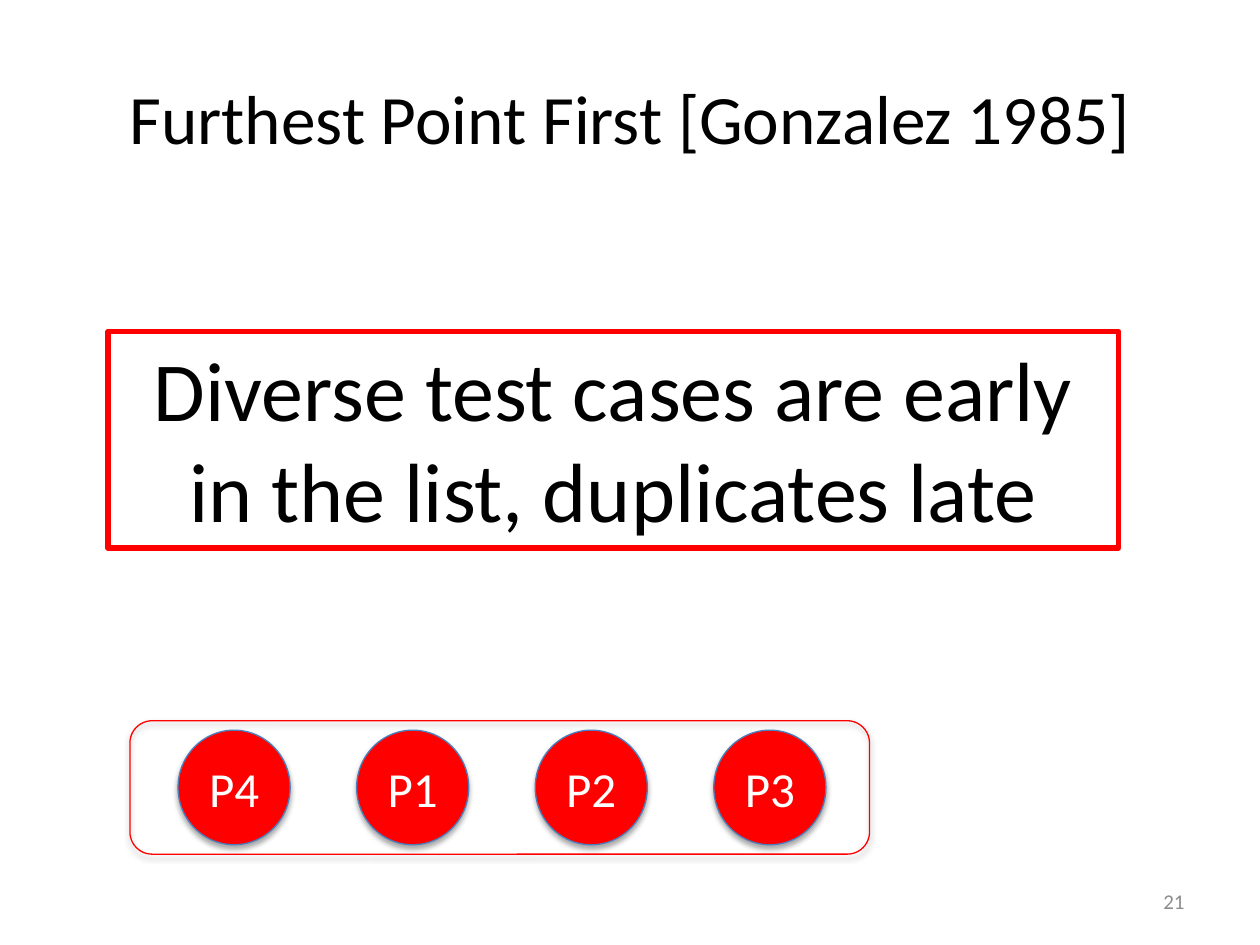
from dataclasses import dataclass

import pptx
import pptx.dml.color
import pptx.enum.shapes
import pptx.enum.text
import pptx.oxml
import pptx.util
from pptx.util import Cm

SHAPES = pptx.enum.shapes.MSO_SHAPE
ALIGN = pptx.enum.text.PP_ALIGN
ANCHOR = pptx.enum.text.MSO_ANCHOR

SHADOW_XML = (
    '<a:effectLst xmlns:a="http://schemas.openxmlformats.org/drawingml/2006/main">'
    '<a:outerShdw blurRad="40000" dist="23000" dir="5400000" rotWithShape="0">'
    '<a:srgbClr val="000000"><a:alpha val="35000"/></a:srgbClr>'
    '</a:outerShdw></a:effectLst>'
)


@dataclass(frozen=True)
class Theme:
    font: str = "Calibri"
    ink: str = "000000"
    accent: str = "FF0000"
    rim: str = "4B7EBC"
    light: str = "FFFFFF"
    muted: str = "8C8C8C"
    title: float = 39.6
    message: float = 48
    point: float = 28
    number: float = 12
    thin: float = 0.75
    thick: float = 3


THEME = Theme()


def rgb(value):
    return pptx.dml.color.RGBColor.from_string(value)


def apply(target, formats):
    for name, value in formats.items():
        setattr(target, name, value)


def write(holder, text, size, color, align=ALIGN.CENTER, anchor=ANCHOR.MIDDLE, wrap=True):
    frame = holder.text_frame
    apply(frame, {"text": text, "word_wrap": wrap, "vertical_anchor": anchor})
    paragraph = frame.paragraphs[0]
    paragraph.alignment = align
    apply(paragraph.font, {"name": THEME.font, "size": pptx.util.Pt(size)})
    paragraph.font.color.rgb = rgb(color)


def outline(holder, color, width):
    holder.line.color.rgb = rgb(color)
    holder.line.width = pptx.util.Pt(width)


def add_shadowed(slide, kind, box, line_color):
    shape = slide.shapes.add_shape(kind, *map(Cm, box))
    shape.shadow.inherit = False
    outline(shape, line_color, THEME.thin)
    effects = shape.element.spPr.find(pptx.oxml.ns.qn("a:effectLst"))
    effects.getparent().replace(effects, pptx.oxml.parse_xml(SHADOW_XML))
    return shape


def add_title(slide, box):
    title = slide.shapes.add_textbox(*map(Cm, box))
    write(title, "Furthest Point First [Gonzalez 1985]", THEME.title, THEME.ink)


def add_message(slide, box):
    message = slide.shapes.add_textbox(*map(Cm, box))
    outline(message, THEME.accent, THEME.thick)
    write(message, "Diverse test cases are early in the list, duplicates late",
          THEME.message, THEME.ink, anchor=ANCHOR.TOP)


def add_ranked_points(slide, box, points):
    left, top, width, height = box
    ranking = add_shadowed(slide, SHAPES.ROUNDED_RECTANGLE, box, THEME.accent)
    ranking.fill.background()
    pitch, point_width, point_height = 3.6, 2.26, 2.31
    first = left + 0.97
    point_top = top + (height - point_height) / 2
    for rank, label in enumerate(points):
        point_box = (first + rank * pitch, point_top, point_width, point_height)
        point = add_shadowed(slide, SHAPES.OVAL, point_box, THEME.rim)
        point.fill.solid()
        point.fill.fore_color.rgb = rgb(THEME.accent)
        write(point, label, THEME.point, THEME.light, wrap=False)


def add_slide_number(slide, box):
    number = slide.shapes.add_textbox(*map(Cm, box))
    write(number, "21", THEME.number, THEME.muted, align=ALIGN.RIGHT)


def main():
    deck = pptx.Presentation()
    apply(deck, {"slide_width": Cm(25.4), "slide_height": Cm(19.05)})
    slide = deck.slides.add_slide(deck.slide_layouts[6])
    add_title(slide, (1.27, 0.76, 22.86, 3.18))
    add_slide_number(slide, (18.21, 17.65, 5.92, 1.02))
    add_ranked_points(slide, (2.62, 14.53, 14.91, 2.69), ("P4", "P1", "P2", "P3"))
    add_message(slide, (2.18, 6.68, 20.37, 4.37))
    deck.save("out.pptx")


if __name__ == "__main__":
    main()
